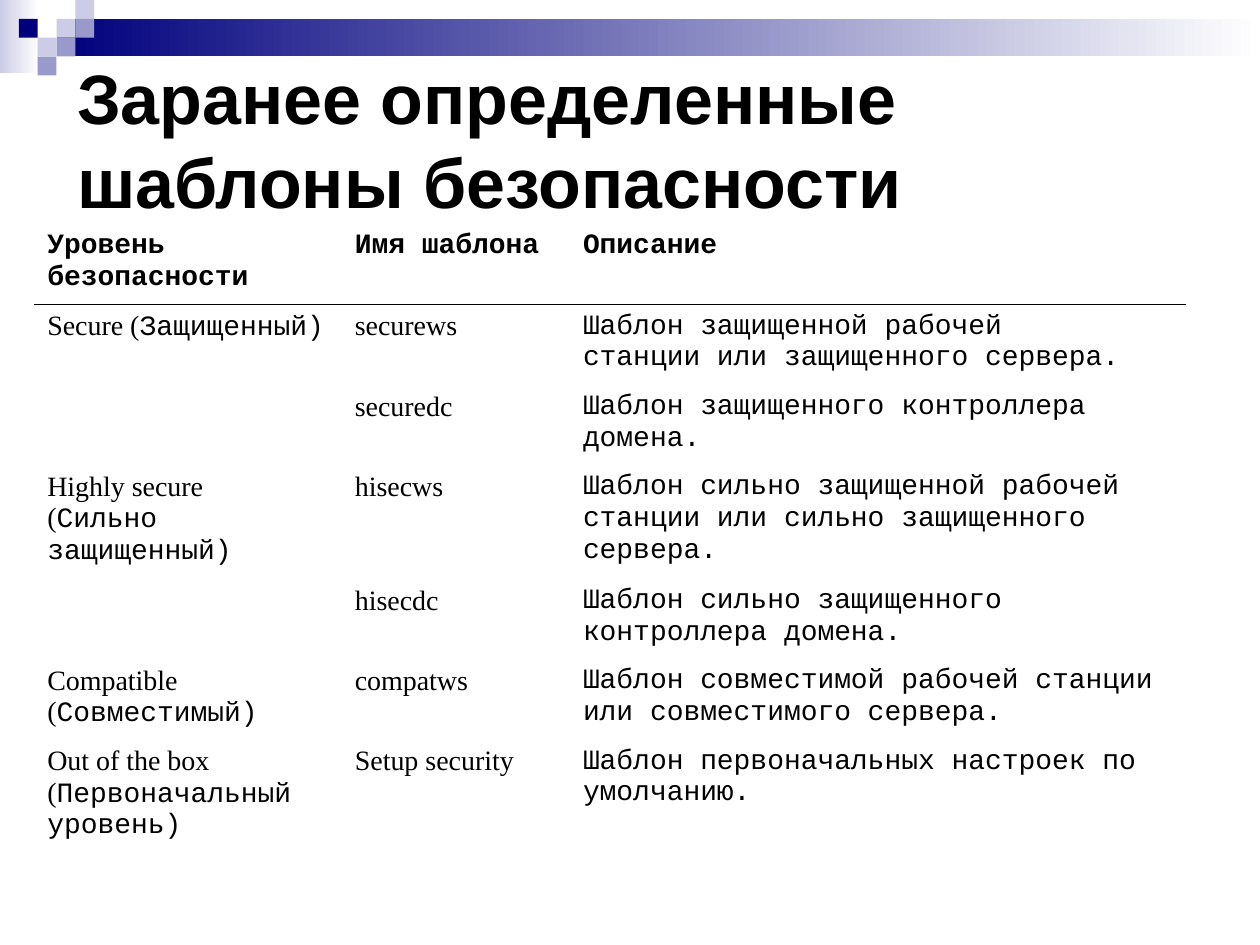
import pptx
import pptx.dml.color
import pptx.enum.text
import pptx.util
from lxml import etree
from pptx.util import Cm

COLORS = {"text": "000000", "white": "FFFFFF", "navy": "00007D",
          "lilac": "CCCCE6", "violet": "9999CC"}
A = "http://schemas.openxmlformats.org/drawingml/2006/main"


def rgb(name):
    return pptx.dml.color.RGBColor.from_string(COLORS[name])


def add_border(cell, side):
    """Draw a thin black line on one side ("T" or "B") of a table cell."""
    ln = etree.Element(f"{{{A}}}ln{side}", w=str(pptx.util.Pt(0.45)))
    fill = etree.SubElement(ln, f"{{{A}}}solidFill")
    etree.SubElement(fill, f"{{{A}}}srgbClr", val=COLORS["text"])
    cell._tc.get_or_add_tcPr().insert(0, ln)


prs = pptx.Presentation()
prs.slide_width, prs.slide_height = Cm(25.4), Cm(19.05)
s = prs.slides.add_slide(prs.slide_layouts[5])
rect = pptx.enum.shapes.MSO_SHAPE.RECTANGLE

# Header bands: left, top, width, height, start colour
for x, y, w, h, color in [(0, 0, 0.79, 1.47, "lilac"),
                          (1.14, 0.38, 24.26, 0.76, "navy")]:
    sp = s.shapes.add_shape(rect, Cm(x), Cm(y), Cm(w), Cm(h))
    sp.shadow.inherit = False
    sp.line.fill.background()
    sp.fill.gradient()
    sp.fill.gradient_angle = 0
    for stop, name in zip(sp.fill.gradient_stops, (color, "white")):
        stop.color.rgb = rgb(name)

# Small squares on a grid: column, row, colour
SQUARE = 0.38
for col, row, color in [(3, 1, "lilac"), (4, 0, "lilac"), (4, 1, "violet"),
                        (2, 2, "lilac"), (1, 1, "navy"), (3, 2, "violet"),
                        (2, 3, "violet")]:
    sp = s.shapes.add_shape(rect, Cm(col * SQUARE), Cm(row * SQUARE),
                            Cm(SQUARE), Cm(SQUARE))
    sp.shadow.inherit = False
    sp.line.fill.background()
    sp.fill.solid()
    sp.fill.fore_color.rgb = rgb(color)

# Title, in front of the header
title = s.shapes.title
s.shapes.element.append(title.element)
title.left, title.top, title.width, title.height = Cm(1.3), Cm(1.12), Cm(22.86), Cm(3.35)
tf = title.text_frame
tf.text = "Заранее определенные шаблоны безопасности"
tf.word_wrap = True
tf.auto_size = pptx.enum.text.MSO_AUTO_SIZE.NONE
tf.vertical_anchor = pptx.enum.text.MSO_ANCHOR.MIDDLE
p = tf.paragraphs[0]
p.alignment = pptx.enum.text.PP_ALIGN.LEFT
p.font.name, p.font.size, p.font.bold = "Arial", pptx.util.Pt(40), True
p.font.color.rgb = rgb("text")

# Table: "\n" separates paragraphs, "|" separates runs
ROWS = [
    ("Уровень безопасности", "Имя шаблона", "Описание"),
    ("Secure (|Защищенный)", "securews",
     "Шаблон защищенной рабочей\nстанции или защищенного сервера."),
    ("", "securedc", "Шаблон защищенного контроллера домена."),
    ("Highly secure\n(|Сильно защищенный)", "hisecws",
     "Шаблон сильно защищенной рабочей\nстанции или сильно защищенного сервера."),
    ("", "hisecdc", "Шаблон сильно защищенного контроллера домена."),
    ("Compatible\n(|Совместимый)", "compatws",
     "Шаблон совместимой рабочей станции или совместимого сервера."),
    ("Out of the box\n(|Первоначальный уровень)", "Setup security",
     "Шаблон первоначальных настроек по умолчанию."),
]
WIDTHS = [6.2, 4.6, 12.4]
HEIGHTS = [1.62, 1.62, 1.62, 2.29, 1.62, 1.62, 2.29]

table = s.shapes.add_table(len(ROWS), len(WIDTHS), Cm(0.7), Cm(4.52),
                           Cm(sum(WIDTHS)), Cm(sum(HEIGHTS))).table
table.first_row = table.horz_banding = False
for column, width in zip(table.columns, WIDTHS):
    column.width = Cm(width)
for row, height in zip(table.rows, HEIGHTS):
    row.height = Cm(height)
for top in (1, 3):
    table.cell(top, 0).merge(table.cell(top + 1, 0))

for i, row in enumerate(ROWS):
    for j, text in enumerate(row):
        cell = table.cell(i, j)
        cell.fill.solid()
        cell.fill.fore_color.rgb = rgb("white")
        if i < 2:
            add_border(cell, "BT"[i])
        if not text:
            continue
        tf = cell.text_frame
        for k, line in enumerate(text.split("\n")):
            p = tf.add_paragraph() if k else tf.paragraphs[0]
            p.font.size, p.font.bold = pptx.util.Pt(16), i == 0
            p.font.color.rgb = rgb("text")
            for part in line.split("|"):
                r = p.add_run()
                r.text = part
                r.font.name = "Times New Roman" if part.isascii() else "Courier New"

prs.save("out.pptx")
